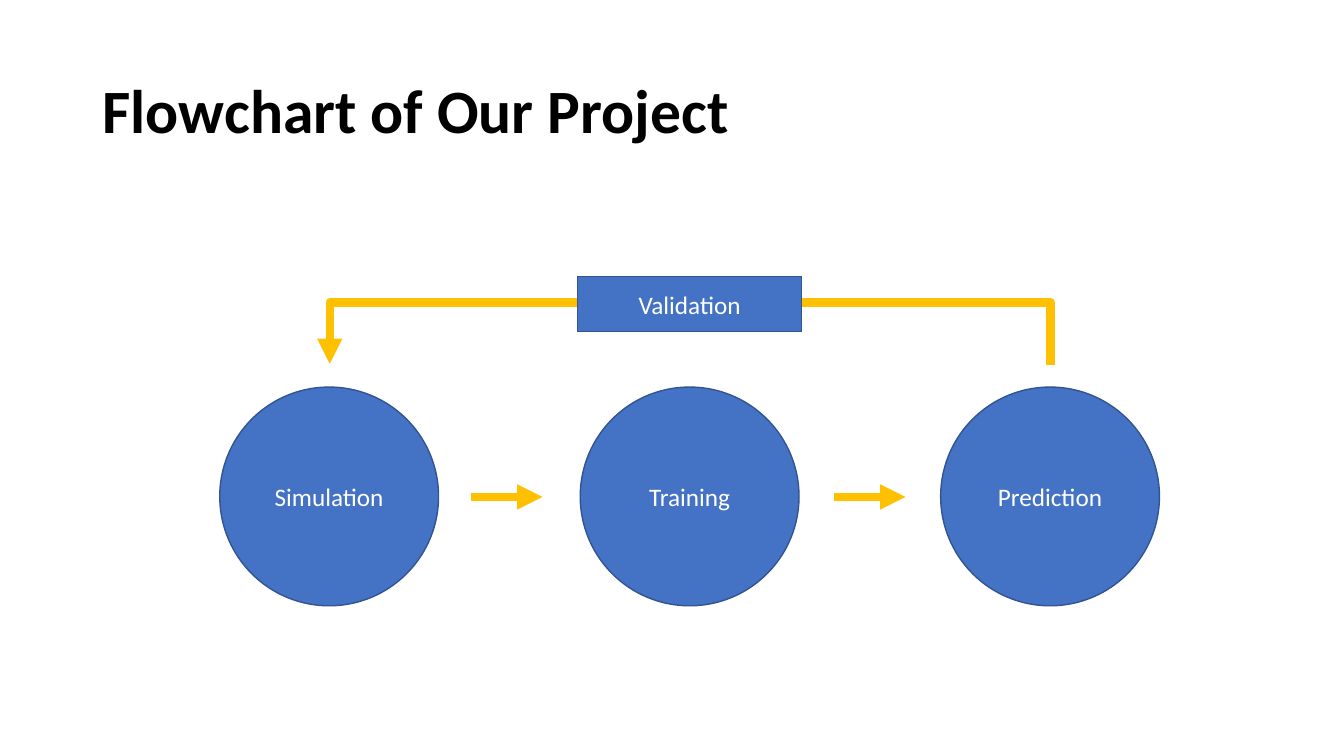
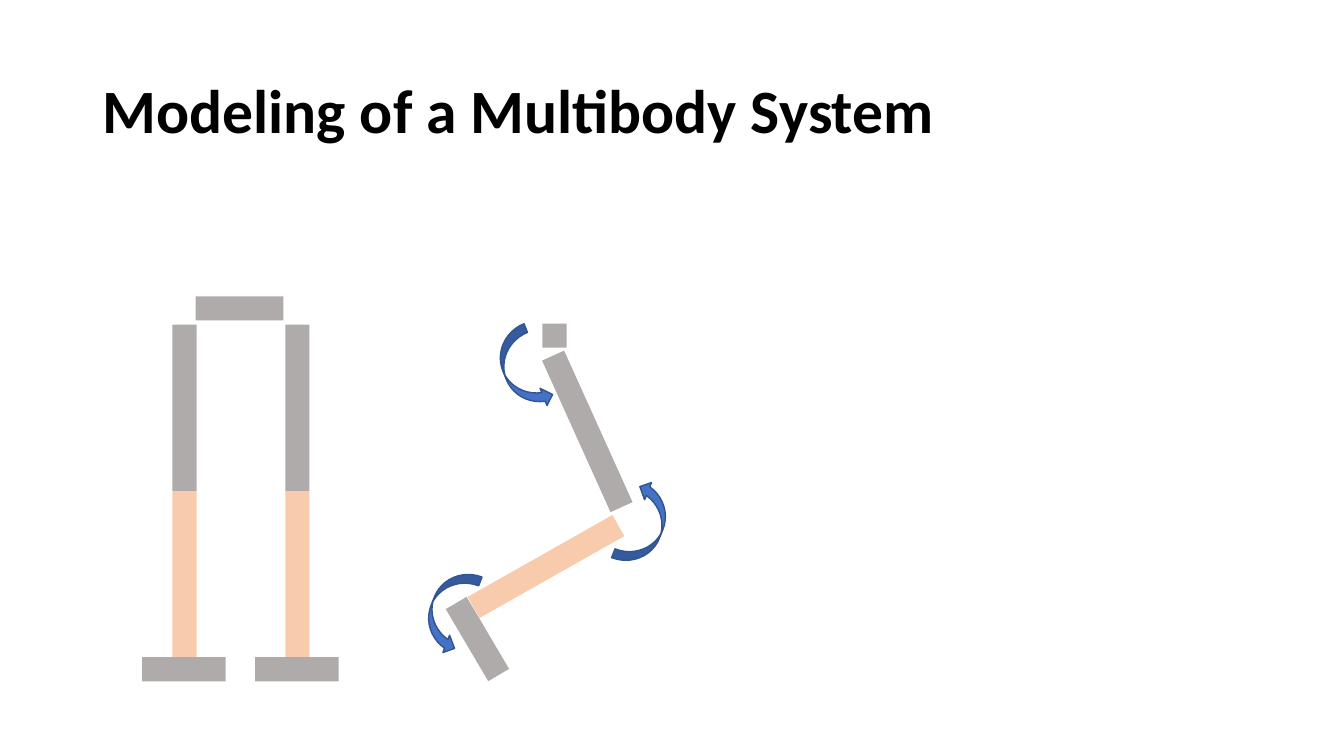
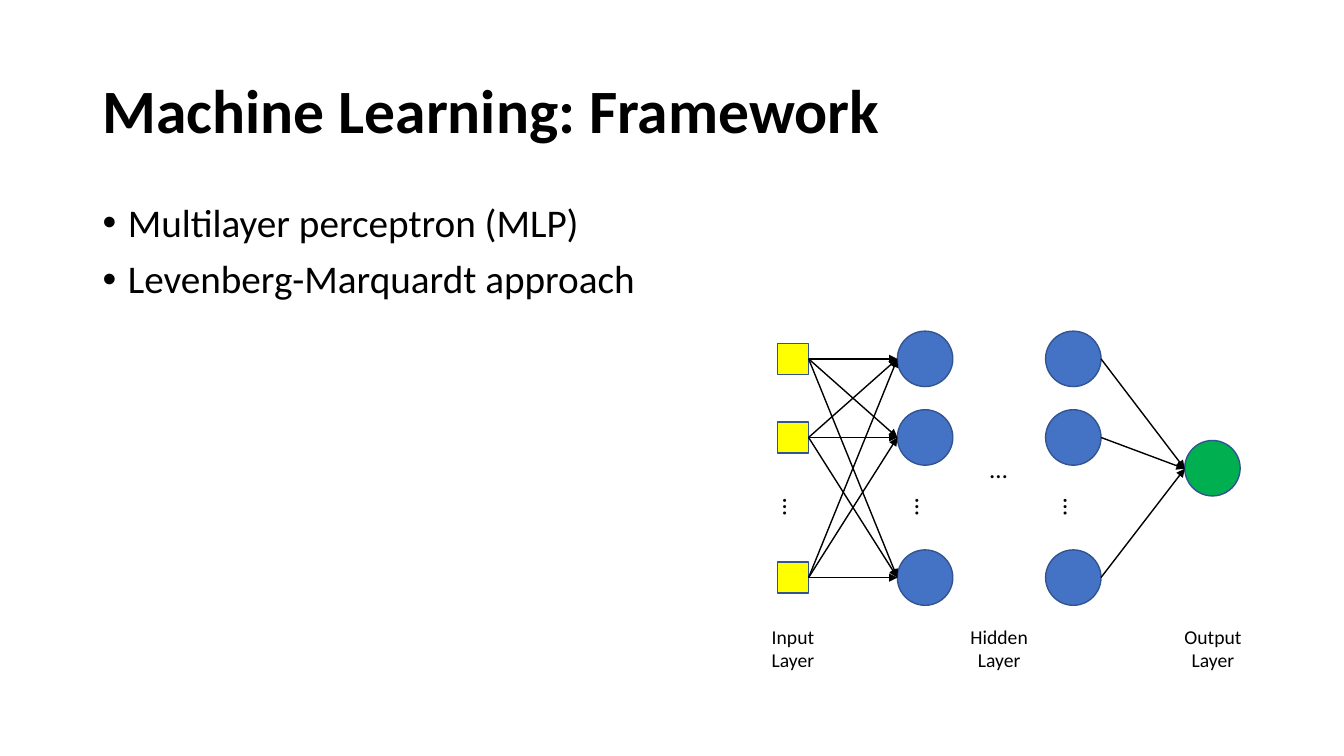
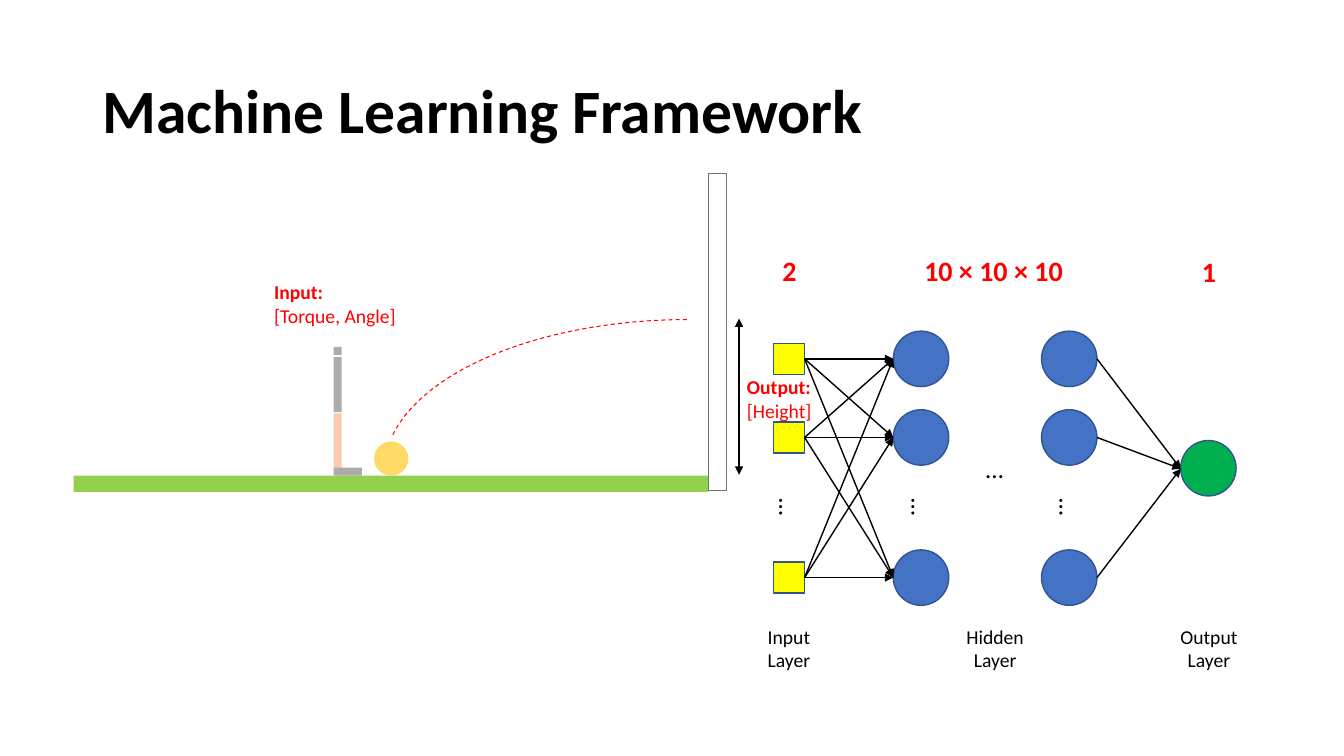
from pptx import Presentation
from pptx.dml.color import RGBColor
from pptx.enum.dml import MSO_LINE
from pptx.enum.shapes import MSO_CONNECTOR, MSO_SHAPE
from pptx.enum.text import MSO_ANCHOR, MSO_AUTO_SIZE, PP_ALIGN
from pptx.oxml.ns import qn
from pptx.util import Inches, Pt
from lxml import etree

RECT, OVAL = MSO_SHAPE.RECTANGLE, MSO_SHAPE.OVAL
ARC, CURVE = MSO_SHAPE.ARC, MSO_SHAPE.CURVED_UP_ARROW
LINE, ELBOW = MSO_CONNECTOR.STRAIGHT, MSO_CONNECTOR.ELBOW
LEFT, CENTER = PP_ALIGN.LEFT, PP_ALIGN.CENTER
TOP, MIDDLE = MSO_ANCHOR.TOP, MSO_ANCHOR.MIDDLE
GROW = MSO_AUTO_SIZE.SHAPE_TO_FIT_TEXT
DASH = MSO_LINE.DASH

FONT = "Calibri"
COLORS = {
    "black": "000000", "white": "FFFFFF", "blue": "4472C4", "navy": "325491",
    "gold": "FFC000", "gray": "AFABAB", "skin": "F8CBAD", "yellow": "FFFF00",
    "green": "00B050", "grass": "92D050", "ball": "FFD966", "slate": "767171",
    "red": "FF0000",
}
COLORS = {name: RGBColor.from_string(code) for name, code in COLORS.items()}


def put(page, box, kind=None, fill=None, edge=None, rot=0, lines=(), size=18,
        tone="black", bold=0, align=LEFT, anchor=TOP, wrap=False):
    """Add a shape, or a text box if kind is None; the first `bold` lines are bold."""
    spot = [Inches(v) for v in box]
    if kind is None:
        item = page.shapes.add_textbox(*spot)
    else:
        item = page.shapes.add_shape(kind, *spot)
        item.shadow.inherit = False
        if fill:
            item.fill.solid()
            item.fill.fore_color.rgb = COLORS[fill]
        else:
            item.fill.background()
        if edge:
            item.line.color.rgb = COLORS[edge]
            item.line.width = Pt(1)
        else:
            item.line.fill.background()
    item.rotation = rot
    if lines:
        frame = item.text_frame
        frame.word_wrap = wrap
        frame.vertical_anchor = anchor
        if kind is None and not wrap:
            frame.auto_size = GROW
        for i, text in enumerate(lines):
            para = frame.add_paragraph() if i else frame.paragraphs[0]
            para.alignment = align
            run = para.add_run()
            run.text = text
            run.font.name = FONT
            run.font.size = Pt(size)
            run.font.bold = i < bold
            run.font.color.rgb = COLORS[tone]
    return item


def link(page, start, end, color="black", width=1, kind=LINE, ends=("tailEnd",)):
    """Add a connector with triangle heads at the given ends."""
    wire = page.shapes.add_connector(kind, *[Inches(v) for v in (*start, *end)])
    wire.line.color.rgb = COLORS[color]
    wire.line.width = Pt(width)
    props = wire.element.spPr
    for name in ends:
        etree.SubElement(props.find(qn("a:ln")), qn("a:" + name), type="triangle")
    etree.SubElement(props, qn("a:effectLst"))
    return wire


deck = Presentation()
deck.slide_width, deck.slide_height = Inches(13.33), Inches(7.5)

# Slides and titles
pages = []
for title in ("Flowchart of Our Project", "Modeling of a Multibody System",
              "Machine Learning: Framework", "Machine Learning Framework"):
    page = deck.slides.add_slide(deck.slide_layouts[6])
    head = put(page, (0.92, 0.4, 11.5, 1.45), lines=[title], size=44, bold=1,
               anchor=MIDDLE, wrap=True)
    head.text_frame.paragraphs[0].line_spacing = 0.9
    pages.append(page)
flow, body, net, field = pages

# Flowchart: three steps with arrows between
label = {"tone": "white", "align": CENTER, "anchor": MIDDLE, "wrap": True}
for i, step in enumerate(("Simulation", "Training", "Prediction")):
    put(flow, (2.18 + i * 3.575, 3.84, 2.17, 2.17), OVAL, "blue", "navy",
        lines=[step], **label)
for x in (4.67, 8.27):
    link(flow, (x, 4.93), (x + 0.71, 4.93), "gold", 6)

# Flowchart: loop back, an elbow turned a quarter and bent far out
loop = link(flow, (6.84, 7.19), (6.85, 0.04), "gold", 6, ELBOW)
shape = loop.element.spPr
shape.find(qn("a:xfrm")).set("rot", str(270 * 60000))
bends = shape.find(qn("a:prstGeom")).get_or_add_avLst()
etree.SubElement(bends, qn("a:gd"), name="adj1", fmla="val 6300000")
put(flow, (5.73, 2.74, 2.22, 0.55), RECT, "blue", "navy",
    lines=["Validation"], **label)

# Multibody: front view with two legs
for x in (1.41, 2.53):
    put(body, (x + 0.3, 4.87, 0.24, 1.65), RECT, "skin")
    put(body, (x + 0.3, 3.22, 0.24, 1.65), RECT, "gray")
    put(body, (x, 6.52, 0.83, 0.24), RECT, "gray")
put(body, (1.94, 2.94, 0.87, 0.24), RECT, "gray")

# Multibody: side view with bent leg
for x, y, length, turn, color in (
        (4.59, 5.5, 1.65, 150.5, "skin"), (5, 4.16, 1.65, 65.7, "gray"),
        (4.32, 6.22, 0.83, 59.5, "gray"), (5.38, 3.21, 0.24, 0, "gray")):
    put(body, (x, y, length, 0.24), RECT, color, rot=turn)
for x, y, turn in ((4.76, 3.49, 68), (5.97, 5.02, 291.7), (4.03, 5.87, 111.1)):
    put(body, (x, y, 0.85, 0.37), CURVE, "blue", "navy", rot=turn)

# Framework: bullets
notes = put(net, (0.92, 1.97, 11.5, 4.76), size=28, wrap=True,
            lines=["Multilayer perceptron (MLP)", "Levenberg-Marquardt approach"])
for para in notes.text_frame.paragraphs:
    para.line_spacing = 0.9
    para.space_before = Pt(10)
    props = para._p.get_or_add_pPr()
    props.set("marL", str(Inches(0.25)))
    props.set("indent", str(Inches(-0.25)))
    etree.SubElement(props, qn("a:buFont"), typeface="Arial")
    etree.SubElement(props, qn("a:buChar"), char="•")

# Neural network on both framework slides
rows = (3.56, 4.34, 5.73)
dots = {"lines": ["…"], "anchor": MIDDLE}
for page, x in ((net, 7.71), (field, 7.67)):
    first, last, out = x + 1.19, x + 2.66, x + 4.04
    inputs = []
    for y in rows:
        for left in (first, last):
            put(page, (left, y - 0.275, 0.55, 0.55), OVAL, "blue", "navy")
        inputs.append(put(page, (x, y - 0.155, 0.31, 0.31), RECT, "yellow", "navy"))
    put(page, (out, 4.37, 0.55, 0.55), OVAL, "green", "navy")
    for left in (x - 0.03, first + 0.09, last + 0.09):
        put(page, (left, 4.84, 0.38, 0.4), rot=90, **dots)
    put(page, (x + 2.01, 4.45, 0.38, 0.4), **dots)
    for node, y in zip(inputs, rows):
        for goal in rows:
            wire = link(page, (x + 0.31, y), (first, goal))
            wire.begin_connect(node, 3)
        link(page, (last + 0.55, y), (out, 4.65))
    for name, left, width in (("Output", x + 3.93, 0.78), ("Hidden", x + 1.81, 0.78),
                              ("Input", x - 0.16, 0.63)):
        put(page, (left, 6.15, width, 0.57), lines=[name, "Layer"], size=14,
            align=CENTER)

# Layer sizes
for text, x, y, width in (("2", 7.66, 2.47, 0.34), ("1", 11.82, 2.48, 0.34),
                          ("10 × 10 × 10", 9.06, 2.47, 1.59)):
    put(field, (x, y, width, 0.44), lines=[text], size=20, tone="red", bold=1,
        align=CENTER)

# Field: ground, wall, leg and ball
put(field, (0.73, 4.72, 6.3, 0.16), RECT, "grass")
wall = put(field, (7.03, 1.72, 0.18, 3.15), RECT, "white", "slate")
wall.line.width = Pt(0.75)
for y, width, height, color in ((4.1, 0.08, 0.55, "skin"), (3.54, 0.08, 0.55, "gray"),
                                (4.64, 0.28, 0.08, "gray"), (3.44, 0.08, 0.08, "gray")):
    put(field, (3.31, y, width, height), RECT, color)
put(field, (3.71, 4.38, 0.34, 0.34), OVAL, "ball")

# Field: flight curve and height
curve = put(field, (3.81, 3.17, 6.04, 3), ARC, edge="red")
curve.adjustments[0], curve.adjustments[1] = 112.15, 162
curve.line.width = Pt(0.75)
curve.line.dash_style = DASH
link(field, (7.33, 3.16), (7.33, 4.71), width=1.5, ends=("headEnd", "tailEnd"))
for name, value, x, y, width in (("Output:", "[Height]", 7.31, 3.67, 0.89),
                                 ("Input:", "[Torque, Angle]", 2.62, 2.73, 1.45)):
    put(field, (x, y, width, 0.57), lines=[name, value], size=14, tone="red", bold=1)

deck.save("out.pptx")
